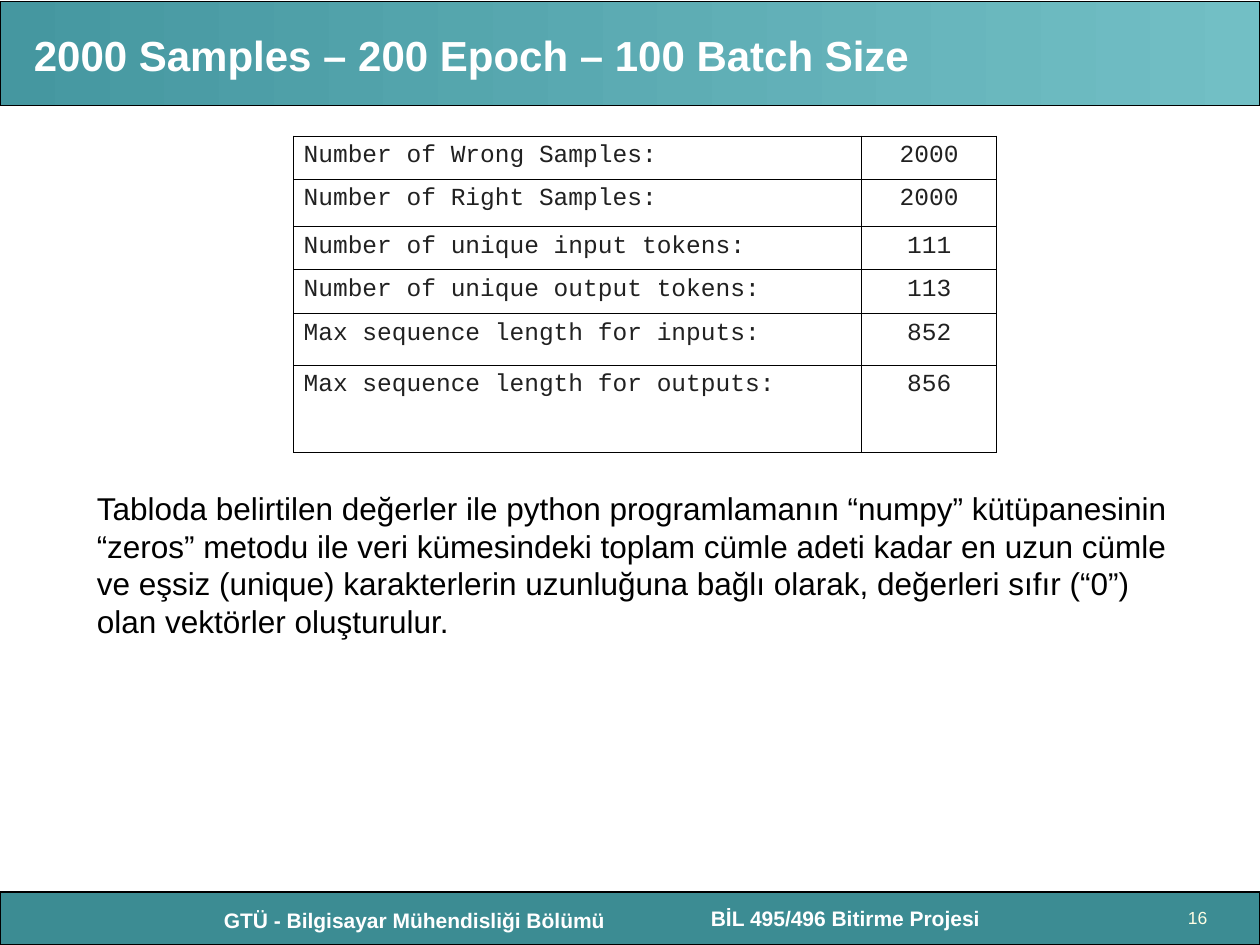
"""Build the slide on samples, epochs and batch size."""
from lxml import etree
from pptx import Presentation
from pptx.dml.color import RGBColor
from pptx.enum.shapes import MSO_SHAPE
from pptx.enum.text import MSO_ANCHOR, PP_ALIGN
from pptx.oxml.ns import qn
from pptx.util import Inches, Pt

RECTANGLE = MSO_SHAPE.RECTANGLE
LEFT, CENTER = PP_ALIGN.LEFT, PP_ALIGN.CENTER
TOP, MIDDLE = MSO_ANCHOR.TOP, MSO_ANCHOR.MIDDLE

COLORS = {
    "band_start": "4597A0",
    "band_end": "72BFC5",
    "footer": "3C8C93",
    "white": "FFFFFF",
    "number": "FFFFE5",
    "table": "212121",
    "black": "000000",
}


def style(para, size, color, font="Arial", bold=False, align=LEFT):
    """Set the font and alignment of a paragraph."""
    para.font.name = font
    para.font.size = Pt(size)
    para.font.bold = bold
    para.font.color.rgb = RGBColor.from_string(COLORS[color])
    para.alignment = align


def add_text(place, text, size, color, bold=False, align=LEFT, anchor=TOP, inset=0.05):
    """Add a wrapped text box with one paragraph."""
    box = page.shapes.add_textbox(*map(Inches, place))
    frame = box.text_frame
    frame.word_wrap = True
    frame.vertical_anchor = anchor
    frame.margin_top = frame.margin_bottom = Inches(inset)
    frame.text = text
    style(frame.paragraphs[0], size, color, bold=bold, align=align)


deck = Presentation()
deck.slide_width, deck.slide_height = Inches(10), Inches(7.5)
page = deck.slides.add_slide(deck.slide_layouts[6])

bands = []
for top, height in [(7.08, 0.42), (0.01, 0.83)]:
    band = page.shapes.add_shape(RECTANGLE, 0, Inches(top), Inches(10), Inches(height))
    band.shadow.inherit = False
    band.line.color.rgb = RGBColor.from_string(COLORS["black"])
    band.line.width = Pt(0.75)
    bands.append(band)

footer, header = bands
footer.fill.solid()
footer.fill.fore_color.rgb = RGBColor.from_string(COLORS["footer"])
header.fill.gradient()
header.fill.gradient_angle = 0
for stop, position, color in zip(header.fill.gradient_stops, (0, 1), ("band_start", "band_end")):
    stop.position = position
    stop.color.rgb = RGBColor.from_string(COLORS[color])

add_text((1.58, 7.15, 3.42, 0.3), "GTÜ - Bilgisayar Mühendisliği Bölümü", 12, "white", True, CENTER)
add_text((5, 7.14, 3.42, 0.3), "BİL 495/496 Bitirme Projesi", 12, "white", True, CENTER)
add_text((0.17, 0.12, 8.58, 0.63), "2000 Samples – 200 Epoch – 100 Batch Size", 24, "white", True, anchor=MIDDLE)
add_text((9.33, 7.17, 0.5, 0.08), "16", 10, "number", inset=0.03)

ROWS = [
    ("Number of Wrong Samples:", "2000", 0.34),
    ("Number of Right Samples:", "2000", 0.38),
    ("Number of unique input tokens:", "111", 0.34),
    ("Number of unique output tokens:", "113", 0.35),
    ("Max sequence length for inputs:", "852", 0.41),
    ("Max sequence length for outputs:", "856", 0.69),
]
table = page.shapes.add_table(
    len(ROWS), 2, Inches(2.33), Inches(1.08), Inches(5.58), Inches(2.5)
).table
table.first_row = table.horz_banding = False
for column, width in zip(table.columns, (4.51, 1.07)):
    column.width = Inches(width)

for row, (label, value, height) in zip(table.rows, ROWS):
    row.height = Inches(height)
    for cell, text, align in zip(row.cells, (label, value), (LEFT, CENTER)):
        cell.text = text
        cell.margin_left = cell.margin_right = Inches(0.08)
        cell.margin_top = cell.margin_bottom = Inches(0.05)
        style(cell.text_frame.paragraphs[0], 14, "table", "Courier New", align=align)
        properties = cell._tc.get_or_add_tcPr()
        for side in ("a:lnL", "a:lnR", "a:lnT", "a:lnB"):
            border = etree.SubElement(properties, qn(side), w=str(Pt(0.45)))
            fill = etree.SubElement(border, qn("a:solidFill"))
            etree.SubElement(fill, qn("a:srgbClr"), val=COLORS["black"])
        cell.fill.background()

add_text(
    (0.67, 3.83, 8.83, 1.3),
    "Tabloda belirtilen değerler ile python programlamanın “numpy” kütüpanesinin "
    "“zeros” metodu ile veri kümesindeki toplam cümle adeti kadar en uzun cümle "
    "ve eşsiz (unique) karakterlerin uzunluğuna bağlı olarak, değerleri sıfır (“0”) "
    "olan vektörler oluşturulur.",
    18,
    "black",
)

deck.save("out.pptx")
